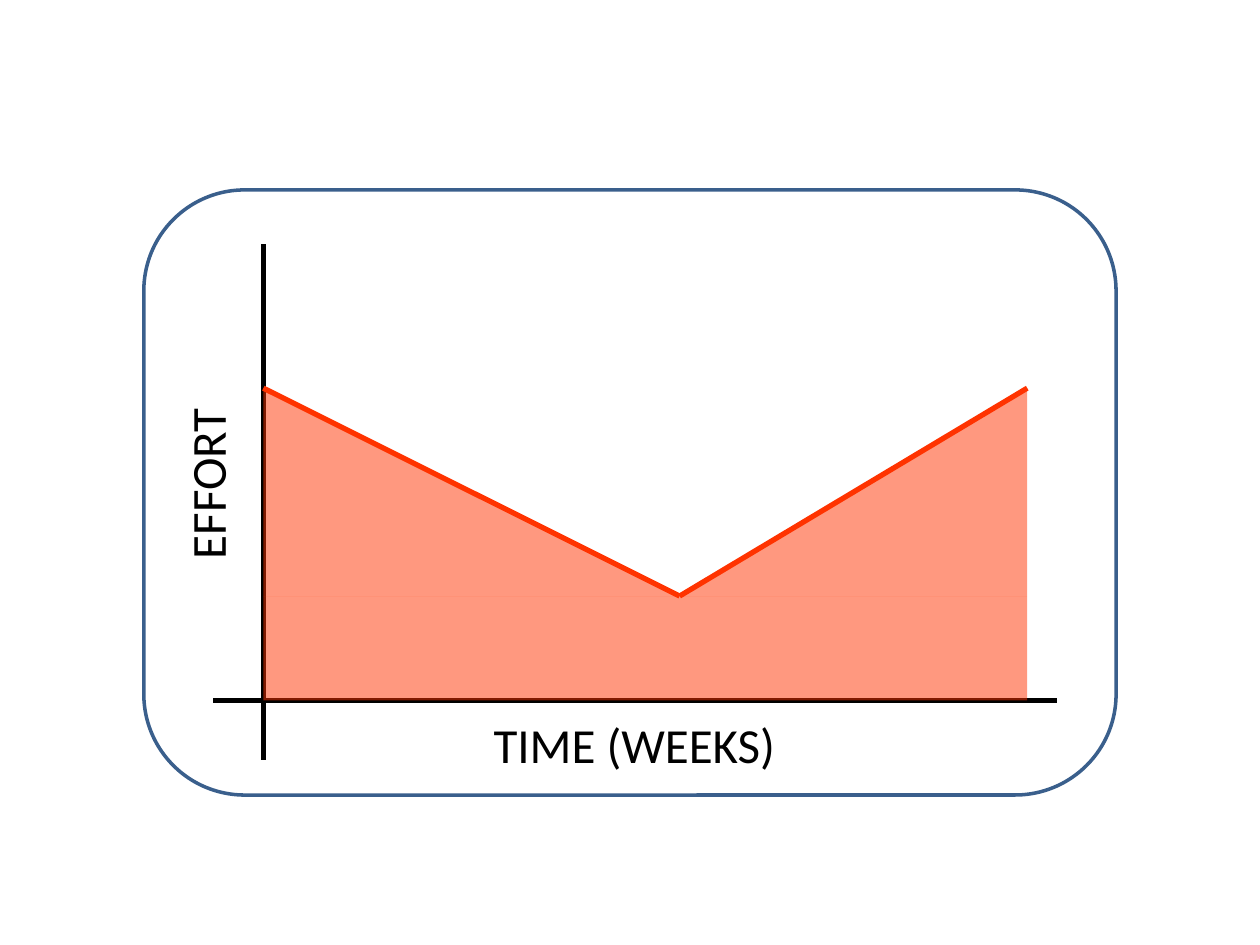
from pptx import Presentation
from pptx.dml.color import RGBColor
from pptx.enum.shapes import MSO_CONNECTOR, MSO_SHAPE
from pptx.enum.text import MSO_AUTO_SIZE
from pptx.oxml.ns import qn
from pptx.util import Pt
from lxml import etree

BLACK = RGBColor(0x00, 0x00, 0x00)
WHITE = RGBColor(0xFF, 0xFF, 0xFF)
FRAME_BLUE = RGBColor(0x3A, 0x5F, 0x8C)
EFFORT_RED = RGBColor(0xFF, 0x33, 0x00)

START_X, LOW_X, END_X = 150.5, 388.4, 587
PEAK_Y, LOW_Y, BASE_Y = 221.8, 340.6, 400.3

prs = Presentation()
prs.slide_width, prs.slide_height = Pt(720), Pt(540)
slide = prs.slides.add_slide(prs.slide_layouts[6])


def add_line(x1, y1, x2, y2, color):
    line = slide.shapes.add_connector(
        MSO_CONNECTOR.STRAIGHT, Pt(x1), Pt(y1), Pt(x2), Pt(y2))
    line.line.color.rgb = color
    line.line.width = Pt(3)
    etree.SubElement(line._element.spPr, qn("a:effectLst"))


def add_area(kind, left, top, right, bottom, flipped):
    area = slide.shapes.add_shape(
        kind, Pt(left), Pt(top), Pt(right - left), Pt(bottom - top))
    area.shadow.inherit = False
    area.fill.solid()
    area.fill.fore_color.rgb = EFFORT_RED
    area.line.fill.background()
    color = area._element.spPr.find(qn("a:solidFill"))[0]
    etree.SubElement(color, qn("a:alpha"), val="50000")
    if flipped:
        area._element.spPr.find(qn("a:xfrm")).set("flipH", "1")


frame = slide.shapes.add_shape(
    MSO_SHAPE.ROUNDED_RECTANGLE, Pt(82.2), Pt(108.5), Pt(555.6), Pt(345.8))
frame.shadow.inherit = False
frame.fill.solid()
frame.fill.fore_color.rgb = WHITE
frame.line.color.rgb = FRAME_BLUE
frame.line.width = Pt(2)

add_line(START_X, 139.5, START_X, 434.3, BLACK)
add_line(604, BASE_Y, 121.8, BASE_Y, BLACK)

for wording, left, top, width, rotation in (
    ("TIME (WEEKS)", 275, 404.8, 175.7, 0),
    ("EFFORT", 65.5, 253.5, 105.1, 270),
):
    axis_title = slide.shapes.add_textbox(Pt(left), Pt(top), Pt(width), Pt(41.2))
    axis_title.rotation = rotation
    axis_title.text_frame.auto_size = MSO_AUTO_SIZE.SHAPE_TO_FIT_TEXT
    paragraph = axis_title.text_frame.paragraphs[0]
    paragraph.text = wording
    paragraph.font.name = "Calibri"
    paragraph.font.size = Pt(28)
    paragraph.font.color.rgb = BLACK

add_area(MSO_SHAPE.RIGHT_TRIANGLE, START_X, PEAK_Y, LOW_X, LOW_Y, False)
add_line(LOW_X, LOW_Y, START_X, PEAK_Y, EFFORT_RED)
add_area(MSO_SHAPE.RIGHT_TRIANGLE, LOW_X, PEAK_Y, END_X, LOW_Y, True)
add_line(LOW_X, LOW_Y, END_X, PEAK_Y, EFFORT_RED)
add_area(MSO_SHAPE.RECTANGLE, START_X, LOW_Y, END_X, BASE_Y, False)

prs.save("out.pptx")
